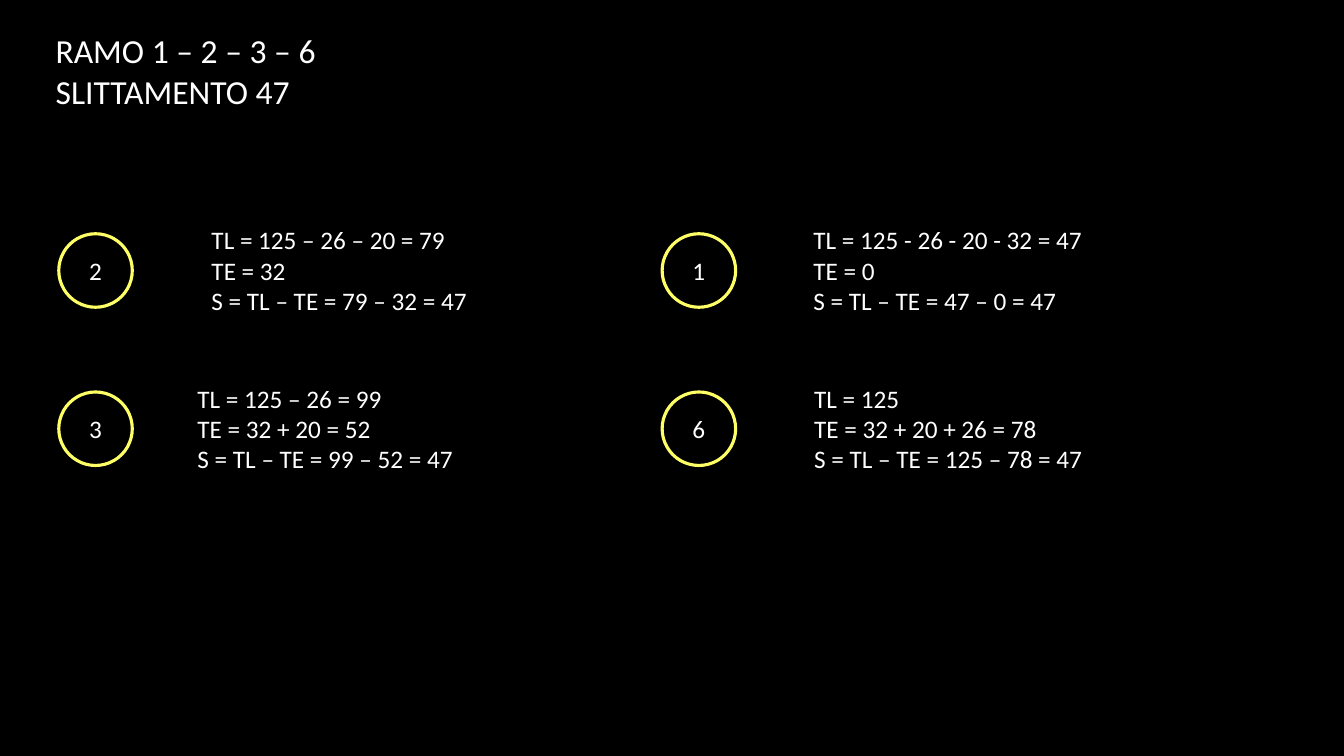
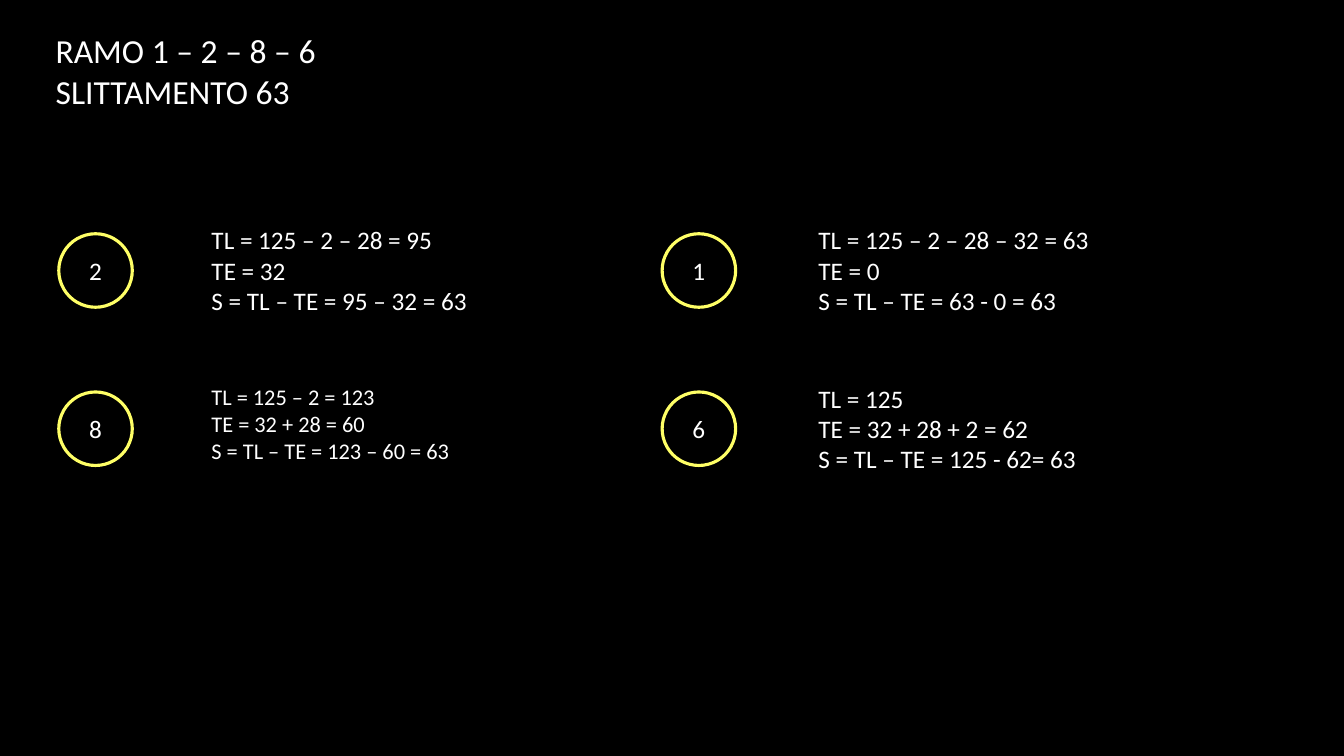
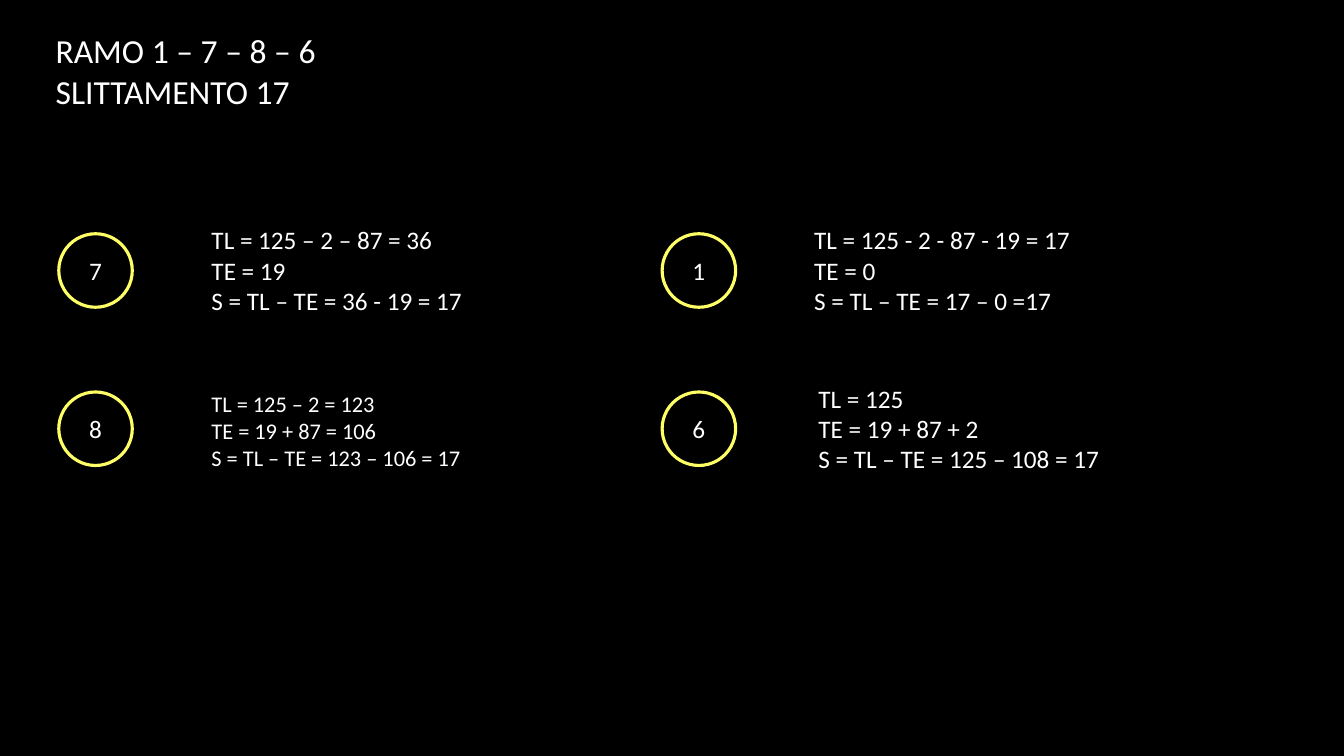
"""Build three slides that work out the slack of each branch of a network."""
import pptx
import pptx.dml.color
import pptx.enum.shapes
import pptx.enum.text
import pptx.util

Pt = pptx.util.Pt
COLORS = {"background": "000000", "text": "FFFFFF", "ring": "FFFF66"}
FONT = "Calibri"
COLUMNS, ROWS = (42, 473), (167, 280)
RING = 52.5

BRANCHES = [
    ("RAMO 1 – 2 – 3 – 6\nSLITTAMENTO 47", [
        {"node": "2", "left": 144, "lines": ["TL = 125 – 26 – 20 = 79", "TE = 32", "S = TL – TE = 79 – 32 = 47"]},
        {"node": "1", "left": 574, "lines": ["TL = 125 - 26 - 20 - 32 = 47", "TE = 0", "S = TL – TE = 47 – 0 = 47"]},
        {"node": "3", "left": 134, "lines": ["TL = 125 – 26 = 99", "TE = 32 + 20 = 52", "S = TL – TE = 99 – 52 = 47"]},
        {"node": "6", "left": 574.5, "lines": ["TL = 125", "TE = 32 + 20 + 26 = 78", "S = TL – TE = 125 – 78 = 47"]},
    ]),
    ("RAMO 1 – 2 – 8 – 6\nSLITTAMENTO 63", [
        {"node": "2", "left": 144, "lines": ["TL = 125 – 2 – 28 = 95", "TE = 32", "S = TL – TE = 95 – 32 = 63"]},
        {"node": "1", "left": 577.5, "lines": ["TL = 125 – 2 – 28 – 32 = 63", "TE = 0", "S = TL – TE = 63 - 0 = 63"]},
        {"node": "8", "left": 144, "size": 16,
         "lines": ["TL = 125 – 2 = 123", "TE = 32 + 28 = 60", "S = TL – TE = 123 – 60 = 63"]},
        {"node": "6", "left": 577.5, "lines": ["TL = 125", "TE = 32 + 28 + 2 = 62", "S = TL – TE = 125 - 62= 63"]},
    ]),
    ("RAMO 1 – 7 – 8 – 6\nSLITTAMENTO 17", [
        {"node": "7", "left": 144, "lines": ["TL = 125 – 2 – 87 = 36", "TE = 19", "S = TL – TE = 36 - 19 = 17"]},
        {"node": "1", "left": 574.5, "lines": ["TL = 125 - 2 - 87 - 19 = 17", "TE = 0", "S = TL – TE = 17 – 0 =17"]},
        {"node": "8", "left": 144, "size": 16, "drop": 5,
         "lines": ["TL = 125 – 2 = 123", "TE = 19 + 87 = 106", "S = TL – TE = 123 – 106 = 17"]},
        {"node": "6", "left": 577.5, "lines": ["TL = 125", "TE = 19 + 87 + 2", "S = TL – TE = 125 – 108 = 17"]},
    ]),
]


def rgb(name):
    return pptx.dml.color.RGBColor.from_string(COLORS[name])


def write(tf, text, size, align=pptx.enum.text.PP_ALIGN.LEFT):
    tf.text = text
    for p in tf.paragraphs:
        p.alignment = align
        p.font.name, p.font.size = FONT, Pt(size)
        p.font.color.rgb = rgb("text")


def add_ring(slide, left, top, node):
    sp = slide.shapes.add_shape(pptx.enum.shapes.MSO_SHAPE.OVAL, Pt(left), Pt(top), Pt(RING), Pt(RING))
    sp.shadow.inherit = False
    sp.fill.background()
    sp.line.color.rgb, sp.line.width = rgb("ring"), Pt(2.25)
    sp.text_frame.vertical_anchor = pptx.enum.text.MSO_ANCHOR.MIDDLE
    write(sp.text_frame, node, 18, pptx.enum.text.PP_ALIGN.CENTER)


def add_sums(slide, left, top, lines, size):
    sp = slide.shapes.add_textbox(Pt(left), Pt(top), Pt(230), Pt(4 * size + 1))
    sp.text_frame.word_wrap = True
    write(sp.text_frame, "\n".join(lines), size)


def style_template(prs, layout):
    fill = prs.slide_master.background.fill
    fill.solid()
    fill.fore_color.rgb = rgb("background")
    title = layout.placeholders[0]
    title.left, title.top, title.width, title.height = Pt(32.5), Pt(18), Pt(304), Pt(65.5)
    title.text_frame.vertical_anchor = pptx.enum.text.MSO_ANCHOR.TOP
    title.text_frame.auto_size = pptx.enum.text.MSO_AUTO_SIZE.NONE


def main():
    prs = pptx.Presentation()
    prs.slide_width, prs.slide_height = Pt(960), Pt(540)
    layout = prs.slide_layouts.get_by_name("Title Only")
    style_template(prs, layout)
    for title, nodes in BRANCHES:
        slide = prs.slides.add_slide(layout)
        write(slide.shapes.title.text_frame, title, 24)
        for i, node in enumerate(nodes):
            row, column = divmod(i, len(COLUMNS))
            add_ring(slide, COLUMNS[column], ROWS[row], node["node"])
            top = ROWS[row] - 10 + node.get("drop", 0)
            add_sums(slide, node["left"], top, node["lines"], node.get("size", 18))
    prs.save("out.pptx")


if __name__ == "__main__":
    main()
